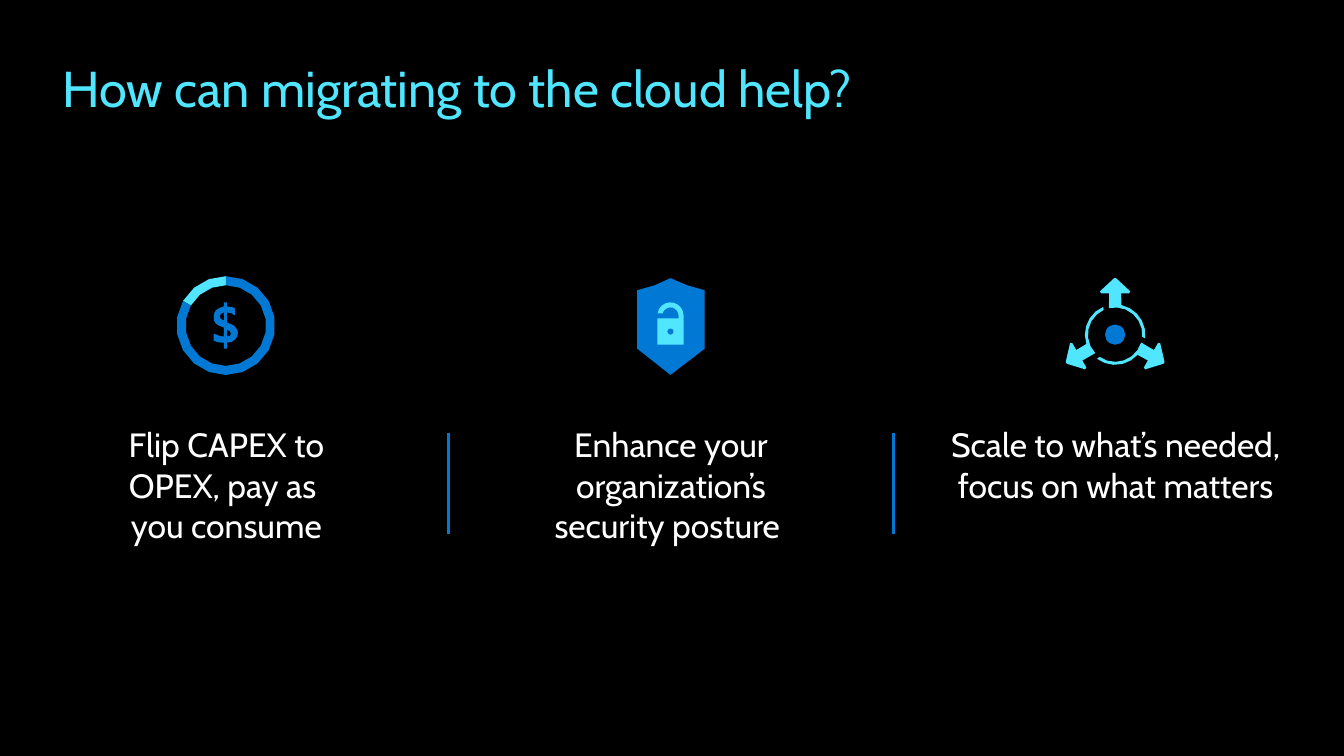
import math
from dataclasses import dataclass

from lxml import etree
from pptx import Presentation
from pptx import util as u
from pptx.dml.color import RGBColor
from pptx.enum import shapes, text
from pptx.oxml import ns

BLACK = RGBColor(0x00, 0x00, 0x00)
WHITE = RGBColor(0xFF, 0xFF, 0xFF)
BLUE = RGBColor(0x00, 0x78, 0xD4)
CYAN = RGBColor(0x50, 0xE6, 0xFF)
FONT = "Cabin"

COLUMN_LEFT, COLUMN_STEP, COLUMN_WIDTH = 0.61, 4.41, 3.27
ICON_OFFSET, DIVIDER_OFFSET = 1.63, 3.84

Point = tuple[float, float]
Contour = list[Point]


@dataclass
class Outline:
    """Filled outline, in inches from the icon centre."""
    contours: list[Contour]
    color: RGBColor


@dataclass
class Dot:
    """Filled circle, in inches from the icon centre."""
    center: Point
    diameter: float
    color: RGBColor


@dataclass
class Benefit:
    paragraphs: list[str]
    icon_y: float
    icon: list[Outline | Dot]


# Geometry
def arc(radius: float, start: float, end: float, center: Point = (0, 0)) -> Contour:
    """Points of an arc; degrees run clockwise from the top."""
    steps = math.ceil(abs(end - start) / 20)
    angles = [math.radians(start + (end - start) * i / steps) for i in range(steps + 1)]
    return [(center[0] + radius * math.sin(a), center[1] - radius * math.cos(a))
            for a in angles]


def trace(*segments: tuple[float, ...]) -> Contour:
    """Two numbers are a corner; six are a cubic curve, drawn through its middle."""
    points: Contour = []
    for segment in segments:
        if len(segment) == 6:
            x0, y0 = points[-1]
            x1, y1, x2, y2, x3, y3 = segment
            points.append(((x0 + 3 * x1 + 3 * x2 + x3) / 8, (y0 + 3 * y1 + 3 * y2 + y3) / 8))
        points.append((segment[-2], segment[-1]))
    return points


def rotate(points: Contour, degrees: float) -> Contour:
    cos, sin = math.cos(math.radians(degrees)), math.sin(math.radians(degrees))
    return [(x * cos - y * sin, x * sin + y * cos) for x, y in points]


# Icons
def ring_part(start: float, end: float, color: RGBColor) -> Outline:
    return Outline([arc(0.49, start, end) + arc(0.4, end, start)], color)


def cost_icon() -> list[Outline | Dot]:
    dollar = [
        trace((0.05, 0.08), (0.05, 0.06, 0.04, 0.05, 0.01, 0.04), (0.01, 0.11),
              (0.04, 0.11, 0.05, 0.1, 0.05, 0.08)),
        trace((-0.02, -0.05), (-0.02, -0.13), (-0.05, -0.12, -0.06, -0.11, -0.06, -0.09),
              (-0.06, -0.07, -0.05, -0.06, -0.02, -0.05)),
        trace((0.12, 0.07), (0.12, 0.1, 0.11, 0.12, 0.09, 0.14),
              (0.07, 0.16, 0.05, 0.17, 0.01, 0.17), (0.01, 0.23), (-0.02, 0.23),
              (-0.02, 0.17), (-0.06, 0.17, -0.09, 0.17, -0.12, 0.15), (-0.12, 0.08),
              (-0.07, 0.1), (-0.02, 0.11),
              (-0.02, 0.02), (-0.06, 0.01, -0.09, -0.01, -0.1, -0.02),
              (-0.12, -0.04, -0.12, -0.06, -0.12, -0.09),
              (-0.12, -0.11, -0.11, -0.14, -0.1, -0.15),
              (-0.08, -0.17, -0.05, -0.18, -0.02, -0.19), (-0.02, -0.23), (0.01, -0.23),
              (0.01, -0.19), (0.05, -0.19, 0.08, -0.18, 0.09, -0.17), (0.09, -0.1),
              (0.07, -0.12, 0.04, -0.13, 0.01, -0.13), (0.01, -0.03),
              (0.05, -0.02, 0.08, 0, 0.09, 0.01), (0.11, 0.03, 0.12, 0.05, 0.12, 0.07)),
    ]
    return [ring_part(-60, 0, CYAN), ring_part(-120, -60, BLUE),
            ring_part(-180, -120, BLUE), ring_part(0, 180, BLUE), Outline(dollar, BLUE)]


def security_icon() -> list[Outline | Dot]:
    shield = trace((0, -0.48), (-0.1, -0.43, -0.21, -0.38, -0.33, -0.36), (-0.33, 0.22),
                   (0, 0.48), (0.34, 0.22), (0.34, -0.36),
                   (0.22, -0.38, 0.11, -0.43, 0, -0.48))
    shackle = (0, -0.11)
    lock = (arc(0.13, 90, -81, shackle) + arc(0.08, -75, 90, shackle)
            + [(0.08, -0.08), (-0.13, -0.08), (-0.13, 0.18), (0.13, 0.18)])
    return [Outline([shield], BLUE), Outline([lock], CYAN), Dot((0, 0.05), 0.06, BLUE)]


def scale_icon() -> list[Outline | Dot]:
    arrow = (arc(0.3, 12, 97) + arc(0.27, 95, -13)
             + [(-0.06, -0.41), (-0.14, -0.41), (-0.15, -0.43), (-0.01, -0.56),
                (0.01, -0.56), (0.15, -0.43), (0.14, -0.41), (0.06, -0.41)])
    arrows: list[Outline | Dot] = [Outline([rotate(arrow, turn)], CYAN)
                                   for turn in (120, 240, 0)]
    return arrows + [Dot((0, 0), 0.2, BLUE)]


# Drawing
def fill_plain(shape, color: RGBColor) -> None:
    shape.shadow.inherit = False
    shape.fill.solid()
    shape.fill.fore_color.rgb = color
    shape.line.fill.background()


def draw_part(slide, part: Outline | Dot, cx: float, cy: float) -> None:
    if isinstance(part, Dot):
        left = cx + part.center[0] - part.diameter / 2
        top = cy + part.center[1] - part.diameter / 2
        size = u.Inches(part.diameter)
        shape = slide.shapes.add_shape(shapes.MSO_SHAPE.OVAL, u.Inches(left),
                                       u.Inches(top), size, size)
    else:
        placed = [[(u.Inches(cx + x), u.Inches(cy + y)) for x, y in contour]
                  for contour in part.contours]
        builder = slide.shapes.build_freeform(*placed[0][0])
        for i, contour in enumerate(placed):
            if i:
                builder.move_to(*contour[0])
            builder.add_line_segments(contour[1:], close=True)
        shape = builder.convert_to_shape()
    fill_plain(shape, part.color)


def draw_text(slide, box: tuple[float, float, float, float], paragraphs: list[str],
              size: int, color: RGBColor, align: text.PP_ALIGN,
              insets: tuple[float, float, float, float] = (0, 0, 0, 0)) -> None:
    frame = slide.shapes.add_textbox(*map(u.Inches, box)).text_frame
    frame.word_wrap = True
    (frame.margin_left, frame.margin_top,
     frame.margin_right, frame.margin_bottom) = map(u.Inches, insets)
    for i, wording in enumerate(paragraphs):
        paragraph = frame.add_paragraph() if i else frame.paragraphs[0]
        paragraph.text = wording
        paragraph.alignment = align
        paragraph.font.name = FONT
        paragraph.font.size = u.Pt(size)
        paragraph.font.color.rgb = color


def draw_divider(slide, x: float) -> None:
    divider = slide.shapes.add_connector(shapes.MSO_CONNECTOR.STRAIGHT, u.Inches(x),
                                         u.Inches(4.3), u.Inches(x), u.Inches(5.3))
    divider.line.color.rgb = BLUE
    divider.line.width = u.Pt(2)
    etree.SubElement(divider._element.spPr, ns.qn("a:effectLst"))


BENEFITS = [
    Benefit(["Flip CAPEX to\vOPEX, pay as \vyou consume"], 3.23, cost_icon()),
    Benefit(["Enhance your organization’s", "security posture "], 3.24, security_icon()),
    Benefit(["Scale to what’s needed, focus on what matters"], 3.32, scale_icon()),
]


def main() -> None:
    deck = Presentation()
    deck.slide_width, deck.slide_height = u.Inches(13.33), u.Inches(7.5)
    slide = deck.slides.add_slide(deck.slide_layouts[6])
    slide.background.fill.solid()
    slide.background.fill.fore_color.rgb = BLACK

    # Title
    draw_text(slide, (0.62, 0.52, 12.12, 1.12), ["How can migrating to the cloud help?"],
              36, CYAN, text.PP_ALIGN.LEFT, (0, 0.05, 0.1, 0.05))

    # Benefit columns, with dividers between them
    for i, benefit in enumerate(BENEFITS):
        left = COLUMN_LEFT + i * COLUMN_STEP
        for part in benefit.icon:
            draw_part(slide, part, left + ICON_OFFSET, benefit.icon_y)
        draw_text(slide, (left, 4.21, COLUMN_WIDTH, 1.21), benefit.paragraphs,
                  24, WHITE, text.PP_ALIGN.CENTER)
        if i < len(BENEFITS) - 1:
            draw_divider(slide, left + DIVIDER_OFFSET)

    deck.save("out.pptx")


if __name__ == "__main__":
    main()
